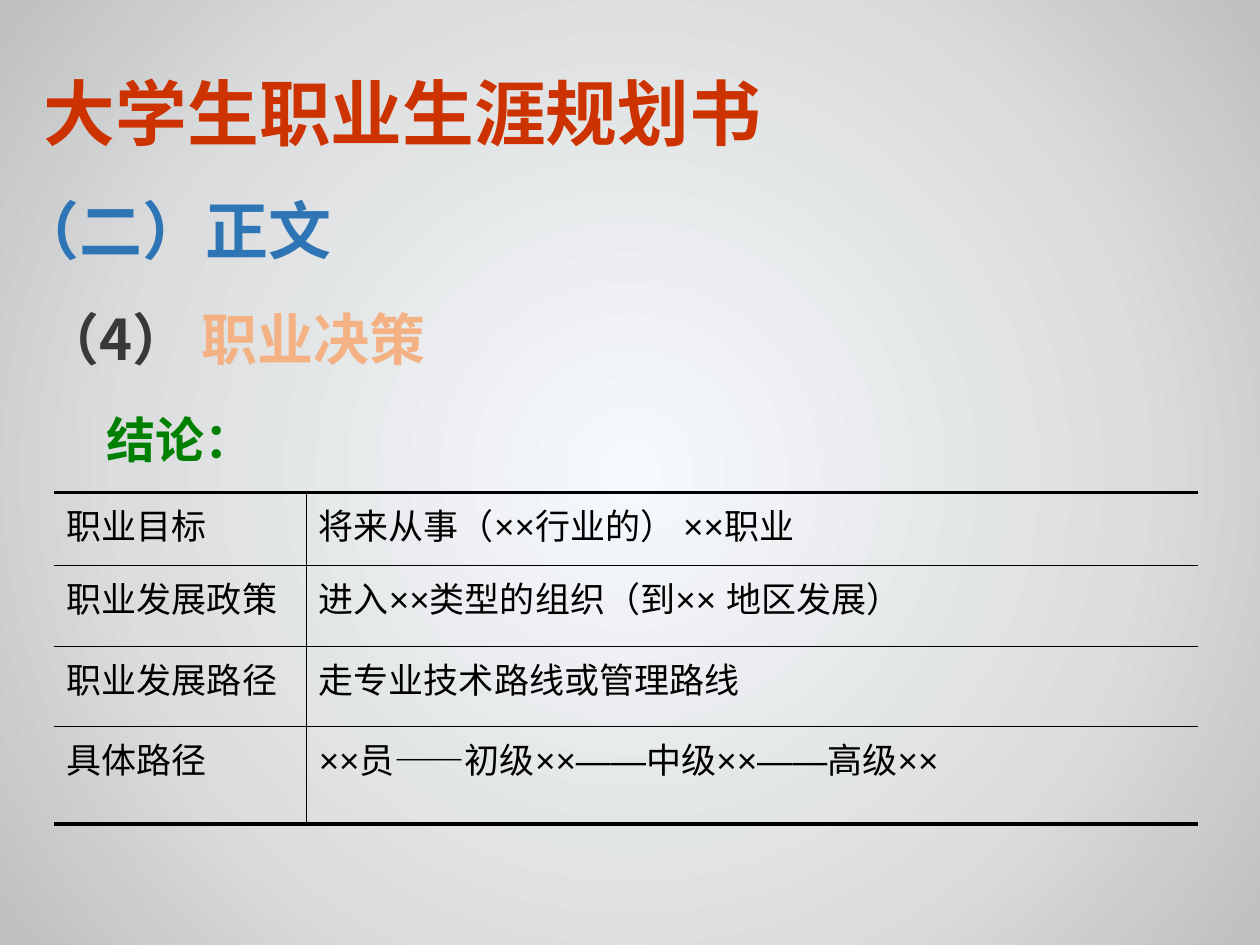
from lxml.etree import SubElement
from pptx import Presentation
from pptx.dml.color import RGBColor
from pptx.enum.text import MSO_ANCHOR as Anchor, MSO_AUTO_SIZE as Auto
from pptx.oxml import parse_xml
from pptx.oxml.ns import qn
from pptx.util import Pt

SANS, ARIAL = "Noto Sans CJK SC", "Arial"
STOPS = [(0, "F7FAFD"), (64, "DBDDDE"), (100, "BFBFBF")]

# box (left, top, width, height), size, middle and grow flags, line spacing,
# runs (text, font, colour)
HEADS = [
    ((18, 18.72, 648, 90), 41, True, False, 1,
     [("大学生职业生涯规划书", SANS, "CC3300")]),
    ((2.16, 105.84, 424.8, 51.12), 36, False, True, 1,
     [("（二）正文", ARIAL, "2E75B6")]),
    ((18, 167.76, 648, 56.16), 32, True, False, 0.9,
     [("（4） ", SANS, "3B3838"), ("职业决策", ARIAL, "F4B183")]),
    ((54, 230.4, 185.76, 41.04), 28, False, True, 1,
     [("结论：", ARIAL, "008000")]),
]

ROWS = [
    ("职业目标", "将来从事（××行业的） ××职业"),
    ("职业发展政策", "进入××类型的组织（到×× 地区发展）"),
    ("职业发展路径", "走专业技术路线或管理路线"),
    ("具体路径", "××员——初级××——中级××——高级××"),
]
LEFT, TOP = 30.96, 281.52
WIDTHS = [144, 509.76]
HEIGHTS = [41.76, 46.08, 46.08, 55.44]
THIN, THICK = 0.75, 2.25


def style(run, size, font, color, bold=False):
    run.font.size = Pt(size)
    run.font.name = font
    run.font.bold = bold
    run.font.color.rgb = RGBColor.from_string(color)


def paint(slide):
    """Fill the background with a gradient spreading from the centre."""
    fill = slide.background.fill
    fill.gradient()
    grad = slide.background._cSld.find(".//" + qn("a:gradFill"))
    stops = "".join(f'<a:gs pos="{pos * 1000}"><a:srgbClr val="{color}"/></a:gs>'
                    for pos, color in STOPS)
    grad.getparent().replace(grad, parse_xml(
        '<a:gradFill xmlns:a="http://schemas.openxmlformats.org/drawingml/2006/main"'
        f' rotWithShape="1"><a:gsLst>{stops}</a:gsLst><a:path path="circle">'
        '<a:fillToRect l="50000" t="50000" r="50000" b="50000"/>'
        '</a:path></a:gradFill>'))


def add_head(slide, box, size, middle, grow, space, runs):
    frame = slide.shapes.add_textbox(*map(Pt, box)).text_frame
    frame.word_wrap = True
    frame.auto_size = Auto.SHAPE_TO_FIT_TEXT if grow else Auto.NONE
    frame.vertical_anchor = Anchor.MIDDLE if middle else Anchor.TOP
    para = frame.paragraphs[0]
    para.line_spacing = space
    for text, font, color in runs:
        run = para.add_run()
        run.text = text
        style(run, size, font, color, True)


def rule(cell, sides):
    """Draw cell borders; a width of 0 hides that side."""
    props = cell._tc.get_or_add_tcPr()
    for i, (side, width) in enumerate(sides):
        line = SubElement(props, qn("a:ln" + side), w=str(Pt(width)))
        props.remove(line)
        props.insert(i, line)
        if width:
            fill = SubElement(line, qn("a:solidFill"))
            SubElement(fill, qn("a:srgbClr"), val="000000")
        else:
            SubElement(line, qn("a:noFill"))


def add_grid(slide):
    box = (LEFT, TOP, sum(WIDTHS), sum(HEIGHTS))
    table = slide.shapes.add_table(len(ROWS), len(WIDTHS), *map(Pt, box)).table
    table.first_row = table.horz_banding = False
    for col, width in zip(table.columns, WIDTHS):
        col.width = Pt(width)
    last = len(ROWS) - 1
    for r, texts in enumerate(ROWS):
        table.rows[r].height = Pt(HEIGHTS[r])
        for c, text in enumerate(texts):
            cell = table.cell(r, c)
            cell.text_frame.text = text
            style(cell.text_frame.paragraphs[0].runs[0], 20, ARIAL, "000000")
            cell.fill.background()
            rule(cell, [("L", THIN if c else 0), ("R", 0 if c else THIN),
                        ("T", THIN if r else THICK),
                        ("B", THICK if r == last else THIN)])


def main():
    deck = Presentation()
    deck.slide_width, deck.slide_height = Pt(720), Pt(540)
    slide = deck.slides.add_slide(deck.slide_layouts[6])
    paint(slide)
    for head in HEADS:
        add_head(slide, *head)
    add_grid(slide)
    deck.save("out.pptx")


if __name__ == "__main__":
    main()
